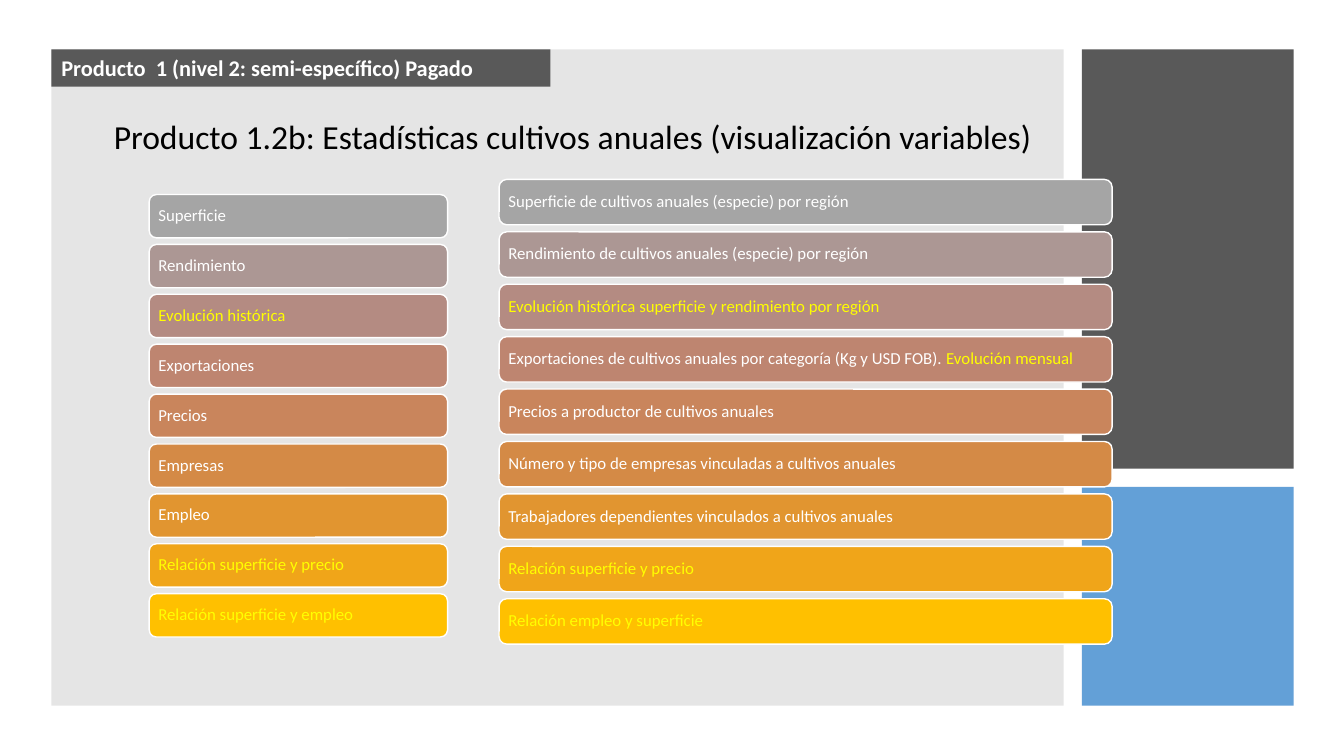
from pptx import Presentation
from pptx.dml.color import RGBColor
from pptx.enum import shapes, text
from pptx.oxml import ns, xmlchemy
from pptx.util import Inches, Pt

FONT = "Calibri"
WHITE = RGBColor(0xFF, 0xFF, 0xFF)
BLACK = RGBColor(0x00, 0x00, 0x00)
YELLOW = RGBColor(0xFF, 0xFF, 0x00)
GRAY = RGBColor(0x80, 0x80, 0x80)
DARK_GRAY = RGBColor(0x59, 0x59, 0x59)
BLUE = RGBColor(0x5B, 0x9B, 0xD5)
ROW_COLORS = [RGBColor.from_string(code) for code in (
    "A5A5A5", "AC9794", "B48B82", "BE8570", "C9855C",
    "D48A46", "E19530", "F0A519", "FFC000")]

# Each row is a list of (text, color) runs.
VARIABLES = [
    [("Superficie", WHITE)],
    [("Rendimiento", WHITE)],
    [("Evolución histórica", YELLOW)],
    [("Exportaciones", WHITE)],
    [("Precios", WHITE)],
    [("Empresas", WHITE)],
    [("Empleo", WHITE)],
    [("Relación superficie y precio", YELLOW)],
    [("Relación superficie y empleo", YELLOW)],
]
DESCRIPTIONS = [
    [("Superficie de cultivos anuales (especie) por región", WHITE)],
    [("Rendimiento de cultivos anuales (especie) por región", WHITE)],
    [("Evolución histórica superficie y rendimiento por región", YELLOW)],
    [("Exportaciones de cultivos anuales por categoría (Kg y USD FOB). ", WHITE),
     ("Evolución mensual", YELLOW)],
    [("Precios a productor de cultivos anuales", WHITE)],
    [("Número y tipo de empresas vinculadas a cultivos anuales", WHITE)],
    [("Trabajadores dependientes vinculados a cultivos anuales", WHITE)],
    [("Relación superficie y precio", YELLOW)],
    [("Relación empleo y superficie", YELLOW)],
]


def write_runs(shape, runs, size, bold=False):
    frame = shape.text_frame
    frame.word_wrap = True
    paragraph = frame.paragraphs[0]
    paragraph.alignment = text.PP_ALIGN.LEFT
    for words, color in runs:
        run = paragraph.add_run()
        run.text = words
        run.font.name = FONT
        run.font.size = Pt(size)
        run.font.bold = bold
        run.font.color.rgb = color
    return paragraph


def add_panel(slide, left, top, width, height, color, opacity=100):
    """Add a borderless rectangle; opacity is a percentage."""
    panel = slide.shapes.add_shape(
        shapes.MSO_SHAPE.RECTANGLE,
        Inches(left), Inches(top), Inches(width), Inches(height))
    panel.shadow.inherit = False
    panel.fill.solid()
    panel.fill.fore_color.rgb = color
    panel.line.fill.background()
    if opacity < 100:
        color_element = panel.fill._xPr.find(".//" + ns.qn("a:srgbClr"))
        alpha = xmlchemy.OxmlElement("a:alpha")
        alpha.set("val", str(opacity * 1000))
        color_element.append(alpha)
    return panel


def add_bar(slide, left, top, width, height, color, runs):
    bar = slide.shapes.add_shape(
        shapes.MSO_SHAPE.ROUNDED_RECTANGLE,
        Inches(left), Inches(top), Inches(width), Inches(height))
    bar.shadow.inherit = False
    bar.fill.solid()
    bar.fill.fore_color.rgb = color
    bar.line.color.rgb = WHITE
    bar.line.width = Pt(1)
    frame = bar.text_frame
    frame.margin_left = frame.margin_right = Inches(0.07)
    frame.margin_top = frame.margin_bottom = Inches(0.05)
    frame.vertical_anchor = text.MSO_ANCHOR.MIDDLE
    write_runs(bar, runs, 12).line_spacing = 0.9


def add_bar_column(slide, left, first_top, last_top, width, height, rows):
    """Stack one bar per row, evenly spaced between the two tops."""
    step = (last_top - first_top) / (len(rows) - 1)
    for index, (color, runs) in enumerate(zip(ROW_COLORS, rows)):
        add_bar(slide, left, first_top + index * step, width, height, color, runs)


def add_title(slide, words):
    title = slide.shapes.add_textbox(
        Inches(1.03), Inches(1.1), Inches(9.52), Inches(0.5))
    write_runs(title, [(words, BLACK)], 24)


def main():
    presentation = Presentation()
    presentation.slide_width = Inches(13.33)
    presentation.slide_height = Inches(7.5)
    slide = presentation.slides.add_slide(presentation.slide_layouts[6])

    add_panel(slide, 0.51, 0.49, 10.04, 6.51, GRAY, opacity=20)
    add_panel(slide, 10.73, 0.49, 2.1, 4.16, DARK_GRAY)
    add_panel(slide, 10.73, 4.83, 2.1, 2.17, BLUE, opacity=95)

    add_bar_column(slide, 4.95, 1.78, 5.94, 6.08, 0.45, DESCRIPTIONS)
    add_title(slide, "Producto 1.2b: Estadísticas cultivos anuales (visualización variables)")
    add_bar_column(slide, 1.48, 1.93, 5.89, 2.96, 0.43, VARIABLES)

    header = add_panel(slide, 0.51, 0.49, 4.95, 0.37, DARK_GRAY)
    header.text_frame.vertical_anchor = text.MSO_ANCHOR.TOP
    write_runs(header, [("Producto  1 (nivel 2: semi-específico) Pagado", WHITE)], 16, bold=True)

    presentation.save("out.pptx")


if __name__ == "__main__":
    main()
